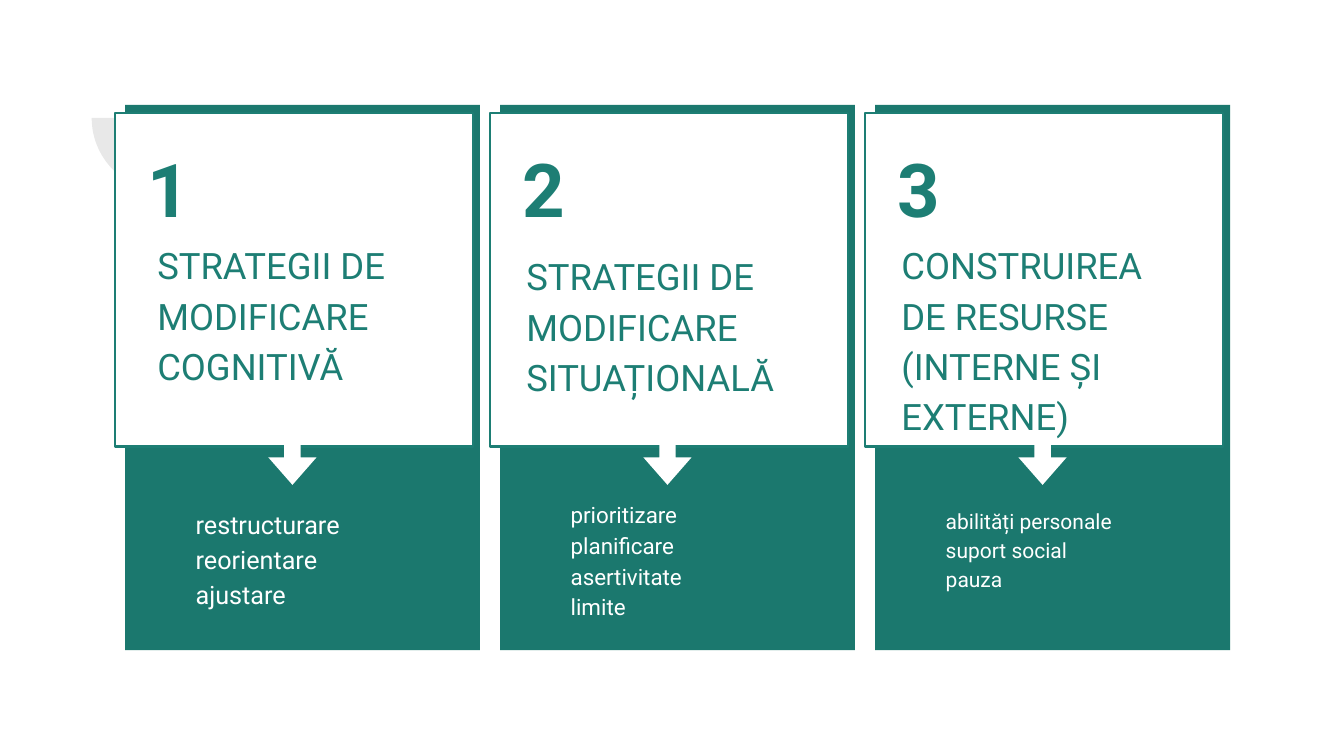
"""Builds a slide with three numbered strategy cards."""
import math
from dataclasses import dataclass

from lxml import etree
from pptx import Presentation
from pptx.dml.color import RGBColor
from pptx.enum.shapes import MSO_SHAPE
from pptx.enum.text import MSO_ANCHOR, MSO_AUTO_SIZE, PP_ALIGN
from pptx.oxml.ns import qn
from pptx.util import Emu, Pt

RECTANGLE = MSO_SHAPE.RECTANGLE
RIGHT_ARROW = MSO_SHAPE.RIGHT_ARROW
TOP = MSO_ANCHOR.TOP
GROW = MSO_AUTO_SIZE.SHAPE_TO_FIT_TEXT
LEFT = PP_ALIGN.LEFT

EMU_PER_PX = 9144
FIRST_CARD_LEFT = 124
CARD_PITCH = 372
TEXT_INSET = 13
EXAMPLE_INDENT = 67


@dataclass(frozen=True)
class Theme:
    """Colours, font and type sizes of the slide."""
    card: str = "1B786E"
    accent: str = "1D7E74"
    white: str = "FFFFFF"
    decoration: str = "424242"
    font: str = "Roboto"
    number_size: int = 53
    title_size: int = 26
    line_spacing: float = 1.15


@dataclass(frozen=True)
class Strategy:
    """Content and text layout of one card."""
    title: str
    title_offset: int
    title_top: int
    title_height: int
    examples: str
    examples_top: int
    examples_height: int
    examples_size: int


THEME = Theme()
STRATEGIES = (
    Strategy("STRATEGII DE MODIFICARE COGNITIVĂ", 19, 222, 169,
             "restructurare\nreorientare\najustare", 488, 163, 18),
    Strategy("STRATEGII DE MODIFICARE SITUAȚIONALĂ", 13, 233, 169,
             "prioritizare\nplanificare\nasertivitate\nlimite", 480, 144, 16),
    Strategy("CONSTRUIREA DE RESURSE (INTERNE ȘI EXTERNE)", 13, 222, 218,
             "abilități personale\nsuport social\npauza", 488, 109, 15),
)


def px(length):
    """Turn pixels into EMU."""
    return Emu(length * EMU_PER_PX)


def paint(shape, fill, line=None):
    """Give a shape a solid fill and an optional outline."""
    shape.shadow.inherit = False
    shape.fill.solid()
    shape.fill.fore_color.rgb = RGBColor.from_string(fill)
    if line:
        shape.line.color.rgb = RGBColor.from_string(line)
        shape.line.width = Pt(1.5)
    else:
        shape.line.fill.background()


def add_block(slide, kind, left, top, width, height, fill, line=None):
    """Add a painted preset shape."""
    shape = slide.shapes.add_shape(kind, px(left), px(top), px(width), px(height))
    paint(shape, fill, line)
    return shape


def add_text(slide, text, left, top, width, height, size, color,
             bold=False, spacing=None, indent=0):
    """Add a wrapped text box with one style throughout."""
    box = slide.shapes.add_textbox(px(left), px(top), px(width), px(height))
    frame = box.text_frame
    frame.word_wrap = True
    frame.auto_size = GROW
    frame.vertical_anchor = TOP
    frame.margin_left = frame.margin_right = px(TEXT_INSET)
    frame.margin_top = frame.margin_bottom = px(TEXT_INSET)
    frame.text = text
    for paragraph in frame.paragraphs:
        paragraph.alignment = LEFT
        if spacing:
            paragraph.line_spacing = spacing
        if indent:
            properties = paragraph._p.get_or_add_pPr()
            properties.set("marL", "0")
            properties.set("indent", str(px(indent)))
        for run in paragraph.runs:
            run.font.name = THEME.font
            run.font.size = Pt(size)
            run.font.bold = bold
            run.font.color.rgb = RGBColor.from_string(color)


def add_quarter_disc(slide, center_x, center_y, radius, opacity):
    """Add a translucent lower-left quarter of a disc."""
    angles = [math.radians(degrees) for degrees in range(90, 181, 3)]
    rim = [(px(round(center_x + radius * math.cos(angle), 2)),
            px(round(center_y + radius * math.sin(angle), 2))) for angle in angles]
    builder = slide.shapes.build_freeform(px(center_x), px(center_y))
    builder.add_line_segments(rim, close=True)
    disc = builder.convert_to_shape()
    paint(disc, THEME.decoration)
    color = disc.fill._xPr.find(qn("a:solidFill"))[0]
    etree.SubElement(color, qn("a:alpha")).set("val", str(opacity * 1000))


def add_card(slide, number, strategy):
    """Add one numbered card with its title, arrow and examples."""
    left = FIRST_CARD_LEFT + CARD_PITCH * (number - 1)
    add_block(slide, RECTANGLE, left, 104, 352, 541, THEME.card)
    add_block(slide, RECTANGLE, left - 10, 112, 355, 331, THEME.white, THEME.accent)
    add_text(slide, strategy.title, left + strategy.title_offset, strategy.title_top,
             315, strategy.title_height, THEME.title_size, THEME.accent,
             spacing=THEME.line_spacing)
    add_text(slide, str(number), left + 9, 129, 315, 116,
             THEME.number_size, THEME.accent, bold=True)
    arrow = add_block(slide, RIGHT_ARROW, left + 140, 431, 52, 48, THEME.white)
    arrow.rotation = 90
    arrow.adjustments[0] = 0.34
    arrow.adjustments[1] = 0.57
    add_text(slide, strategy.examples, left - 10, strategy.examples_top,
             352, strategy.examples_height, strategy.examples_size, THEME.white,
             spacing=THEME.line_spacing, indent=EXAMPLE_INDENT)


def main():
    """Build and save the presentation."""
    presentation = Presentation()
    presentation.slide_width = px(1333)
    presentation.slide_height = px(750)
    slide = presentation.slides.add_slide(presentation.slide_layouts[6])
    add_quarter_disc(slide, 164, 117, 73, 12)
    for number, strategy in enumerate(STRATEGIES, start=1):
        add_card(slide, number, strategy)
    presentation.save("out.pptx")


if __name__ == "__main__":
    main()
